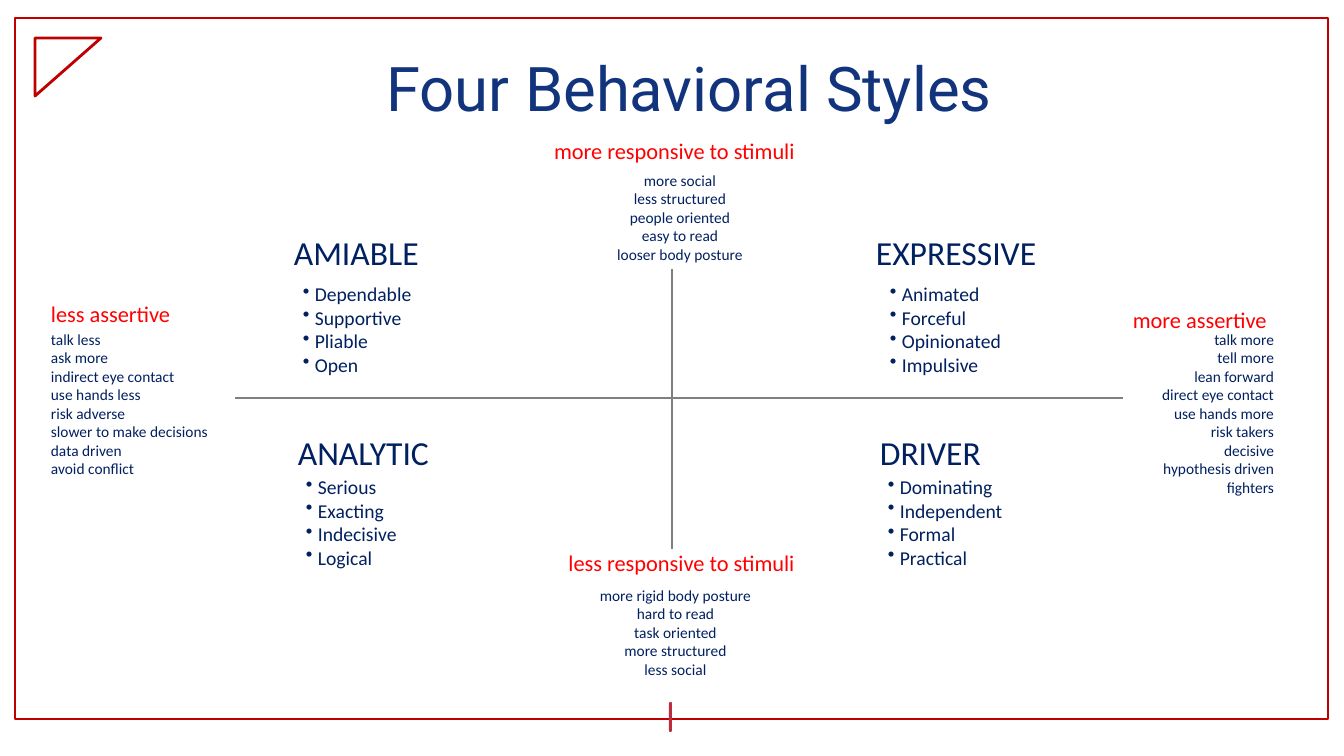
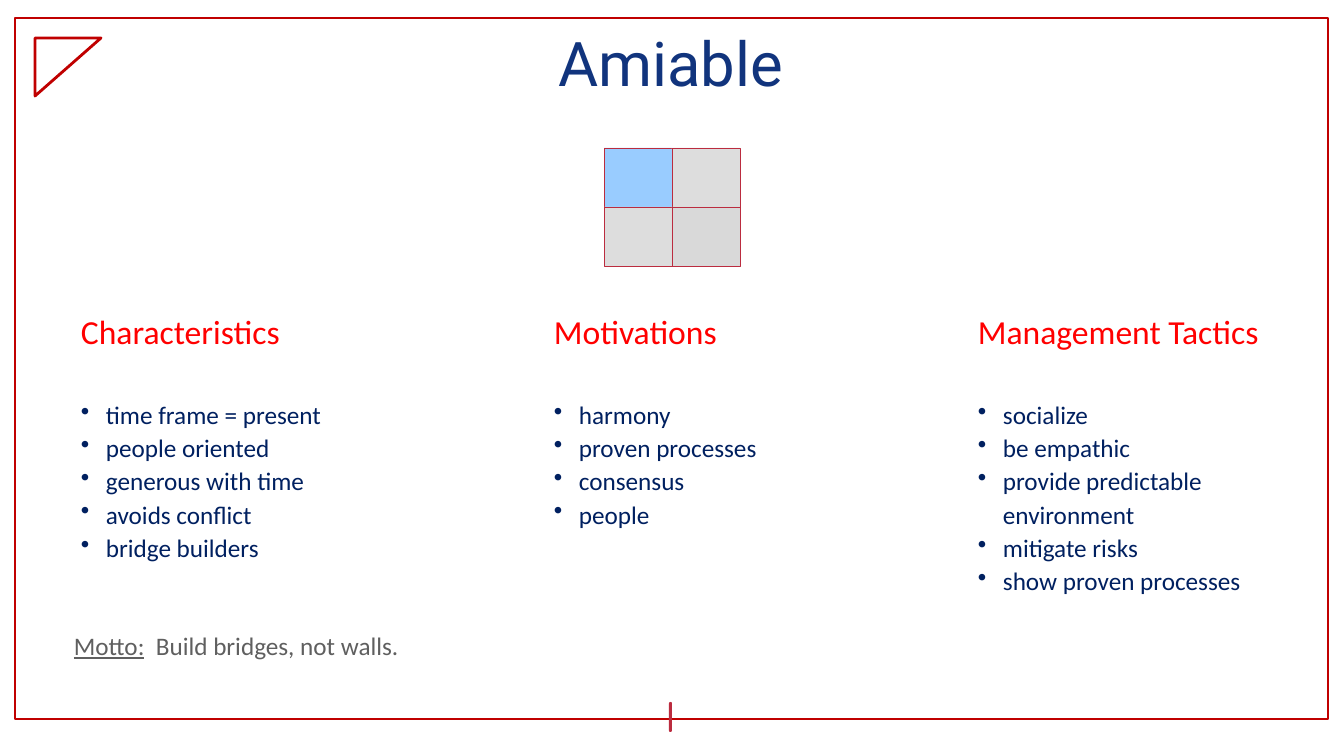
"""Build two slides on the four behavioral styles."""
from lxml import etree
from pptx import Presentation
from pptx import util as u
from pptx.dml.color import RGBColor
from pptx.enum import shapes, text
from pptx.oxml import ns

SLIDE_W, SLIDE_H = 1344, 756
EMU_PER_PX = 12192000 / SLIDE_W

FRAME_RED = RGBColor(0xC0, 0x00, 0x00)
CRIMSON = RGBColor(0xBB, 0x2C, 0x3F)
TITLE_BLUE = RGBColor(0x11, 0x34, 0x7D)
NAVY = RGBColor(0x00, 0x20, 0x60)
RED = RGBColor(0xFF, 0x00, 0x00)
WHITE = RGBColor(0xFF, 0xFF, 0xFF)
AXIS_GRAY = RGBColor(0x80, 0x80, 0x80)
MOTTO_GRAY = RGBColor(0x5F, 0x5F, 0x5F)
CELL_GRAY = RGBColor(0xDD, 0xDD, 0xDD)
CELL_BLUE = RGBColor(0x99, 0xCC, 0xFF)

BODY_FONT, TITLE_FONT = "Calibri", "Roboto"
LEFT, CENTER, RIGHT = text.PP_ALIGN.LEFT, text.PP_ALIGN.CENTER, text.PP_ALIGN.RIGHT

AXES = [(672, 214, 672, 549), (1123, 398, 235, 398)]
STYLES = [
    ("DRIVER", (870, 427), (878, 470), ["Dominating", "Independent", "Formal", "Practical"]),
    ("EXPRESSIVE", (866, 227), (880, 277), ["Animated", "Forceful", "Opinionated", "Impulsive"]),
    ("AMIABLE", (284, 227), (293, 277), ["Dependable", "Supportive", "Pliable", "Open"]),
    ("ANALYTIC", (288, 427), (296, 470), ["Serious", "Exacting", "Indecisive", "Logical"]),
]
AXIS_ENDS = [
    ("more assertive", (1123, 301, 221, 37), LEFT, (1073, 325, 211, 206), RIGHT,
     ["talk more", "tell more", "lean forward", "direct eye contact", "use hands more",
      "risk takers", "decisive", "hypothesis driven", "fighters"]),
    ("less assertive", (41, 295, 221, 37), LEFT, (41, 325, 263, 187), LEFT,
     ["talk less", "ask more", "indirect eye contact", "use hands less", "risk adverse",
      "slower to make decisions", "data driven", "avoid conflict"]),
    ("less responsive to stimuli", (543, 544, 277, 37), CENTER, (573, 581, 205, 102), CENTER,
     ["more rigid body posture", "hard to read", "task oriented", "more structured",
      "less social"]),
    ("more responsive to stimuli", (536, 132, 277, 37), CENTER, (582, 166, 196, 103), CENTER,
     ["more social", "less structured", "people oriented", "easy to read",
      "looser body posture"]),
]
QUADRANTS = [[CELL_BLUE, CELL_GRAY], [CELL_GRAY, RGBColor(0xD9, 0xD9, 0xD9)]]
COLUMNS = [
    ("Characteristics", (71, 302, 320, 298),
     ["time frame = present", "people oriented", "generous with time", "avoids conflict",
      "bridge builders"]),
    ("Motivations", (544, 302, 336, 233),
     ["harmony", "proven processes", "consensus", "people"]),
    ("Management Tactics", (968, 302, 311, 301),
     ["socialize", "be empathic", "provide predictable environment", "mitigate risks",
      "show proven processes"]),
]
MOTTO = ("Motto:", "Build bridges, not walls.")


def px(*lengths):
    return [u.Emu(round(length * EMU_PER_PX)) for length in lengths]


def add_run(paragraph, words, size, color, font=BODY_FONT, underline=None):
    run = paragraph.add_run()
    run.text = words
    run.font.size, run.font.name, run.font.underline = u.Pt(size), font, underline
    run.font.color.rgb = color


def add_bullet(paragraph, indent):
    props = paragraph._p.get_or_add_pPr()
    hang, = px(indent)
    props.set("marL", str(hang))
    props.set("indent", str(-hang))
    etree.SubElement(props, ns.qn("a:buChar")).set("char", "•")


def add_box(slide, place):
    box = slide.shapes.add_textbox(*px(*place))
    box.text_frame.word_wrap = True
    box.text_frame.auto_size = text.MSO_AUTO_SIZE.SHAPE_TO_FIT_TEXT
    return box


def next_paragraph(frame):
    first = frame.paragraphs[0]
    return frame.add_paragraph() if first.runs else first


def add_lines(box, lines, size, color, align=LEFT, indent=0, spacing=None):
    added = []
    for line in lines:
        paragraph = next_paragraph(box.text_frame)
        if indent:
            add_bullet(paragraph, indent)
        paragraph.alignment = align
        if spacing:
            paragraph.line_spacing = spacing
        add_run(paragraph, line, size, color)
        added.append(paragraph)
    return added


def add_preset(slide, kind, place, fill=None, line=None, width=0):
    shape = slide.shapes.add_shape(kind, *px(*place))
    shape.shadow.inherit = False
    if fill is None:
        shape.fill.background()
    else:
        shape.fill.solid()
        shape.fill.fore_color.rgb = fill
    if line is None:
        shape.line.fill.background()
    else:
        shape.line.color.rgb, shape.line.width = line, u.Pt(width)
    return shape


def decorate_layout(slide):
    preset = shapes.MSO_SHAPE
    frame = add_preset(slide, preset.RECTANGLE, (15, 18, 1313, 701), line=FRAME_RED, width=2)
    corner = add_preset(slide, preset.RIGHT_TRIANGLE, (39, 34, 58, 66), line=FRAME_RED, width=2)
    corner.rotation = 90
    tick = add_preset(slide, preset.ROUND_2_DIAG_RECTANGLE, (669, 702, 3, 30), fill=CRIMSON)
    tick.adjustments[0] = tick.adjustments[1] = 0.5
    for number, part in enumerate((frame, corner, tick), 11):
        part.element.nvSpPr.cNvPr.set("id", str(number))
        slide.slide_layout.shapes.element.append(part.element)


def set_title(slide, words, place, anchor):
    title = slide.shapes.title
    title.left, title.top, title.width, title.height = px(*place)
    frame = title.text_frame
    frame.auto_size = text.MSO_AUTO_SIZE.NONE
    frame.vertical_anchor = anchor
    frame.margin_top = frame.margin_bottom = 0
    paragraph = frame.paragraphs[0]
    paragraph.alignment, paragraph.line_spacing = CENTER, 0.9
    add_run(paragraph, words, 44, TITLE_BLUE, TITLE_FONT)


def build_styles(slide):
    set_title(slide, "Four Behavioral Styles", (51, 19, 1277, 146), text.MSO_ANCHOR.MIDDLE)
    for ends in AXES:
        axis = slide.shapes.add_connector(shapes.MSO_CONNECTOR.STRAIGHT, *px(*ends))
        axis.line.color.rgb, axis.line.width = AXIS_GRAY, u.Pt(1)
        etree.SubElement(axis.element.spPr, ns.qn("a:effectLst"))
    for style, heading_at, traits_at, traits in STYLES:
        add_lines(add_box(slide, (*heading_at, 302, 50)), [style], 24, NAVY)
        add_lines(add_box(slide, (*traits_at, 190, 129)), traits, 14, NAVY, indent=12)
    for label, label_place, label_align, place, align, habits in AXIS_ENDS:
        habit_box = add_box(slide, place)
        if align == CENTER:
            habit_box.fill.solid()
            habit_box.fill.fore_color.rgb = WHITE
        add_lines(habit_box, habits, 11, NAVY, align)
        add_lines(add_box(slide, label_place), [label], 16, RED, label_align)


def build_amiable(slide):
    set_title(slide, "Amiable", (14, 19, 1314, 81), text.MSO_ANCHOR.BOTTOM)
    for row, fills in enumerate(QUADRANTS):
        for column, fill in enumerate(fills):
            place = (604 + 68 * column, 148 + 59 * row, 68, 59)
            add_preset(slide, shapes.MSO_SHAPE.RECTANGLE, place, fill, CRIMSON, 0.5)
    for heading, place, points in COLUMNS:
        box = add_box(slide, place)
        add_lines(box, [heading], 24, RED, spacing=1.1)
        bullets = add_lines(box, points, 18, NAVY, indent=25, spacing=1.1)
        bullets[0].space_before = u.Pt(32)
    motto = add_box(slide, (64, 625, 350, 40)).text_frame.paragraphs[0]
    tabs = etree.SubElement(motto._p.get_or_add_pPr(), ns.qn("a:tabLst"))
    etree.SubElement(tabs, ns.qn("a:tab"), pos=str(px(82)[0]), algn="l")
    add_run(motto, MOTTO[0], 18, MOTTO_GRAY, underline=True)
    add_run(motto, "\t" + MOTTO[1], 18, MOTTO_GRAY, underline=False)


def main():
    deck = Presentation()
    deck.slide_width, deck.slide_height = px(SLIDE_W, SLIDE_H)
    title_only = deck.slide_layouts[5]
    styles, amiable = [deck.slides.add_slide(title_only) for _ in range(2)]
    decorate_layout(styles)
    build_styles(styles)
    build_amiable(amiable)
    deck.save("out.pptx")


if __name__ == "__main__":
    main()
